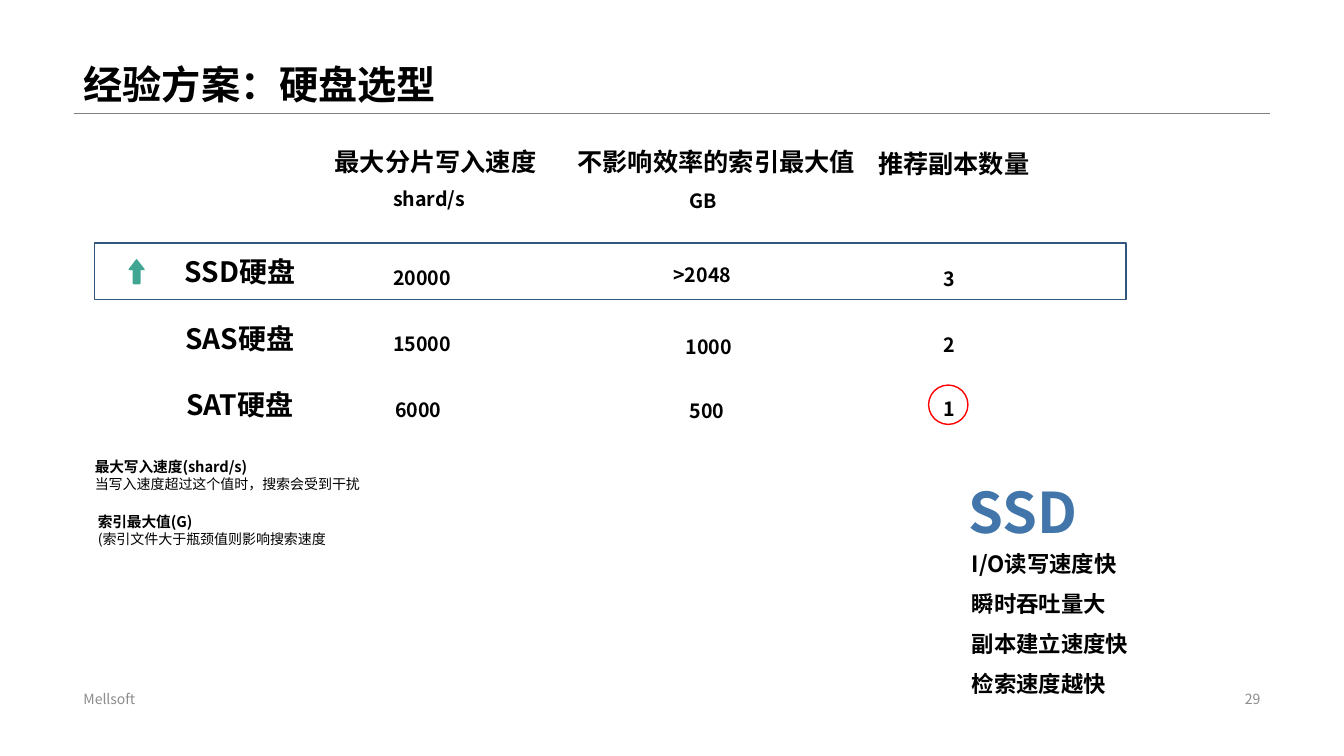
import collections

import lxml.etree
import pptx
import pptx.dml.color
import pptx.enum.shapes
import pptx.enum.text
import pptx.oxml.ns
import pptx.util

Inches = pptx.util.Inches
Pt = pptx.util.Pt
RGBColor = pptx.dml.color.RGBColor
Align = pptx.enum.text.PP_ALIGN
Anchor = pptx.enum.text.MSO_ANCHOR
AutoSize = pptx.enum.text.MSO_AUTO_SIZE
ShapeKind = pptx.enum.shapes.MSO_SHAPE
qn = pptx.oxml.ns.qn

FONT = "Noto Sans CJK SC"
BLACK = RGBColor(0x00, 0x00, 0x00)
GREY = RGBColor(0x8C, 0x8C, 0x8C)
RULE_GREY = RGBColor(0x80, 0x80, 0x80)
NAVY = RGBColor(0x31, 0x57, 0x7E)
BLUE = RGBColor(0x42, 0x76, 0xAA)
GREEN = RGBColor(0x40, 0xA6, 0x93)
RED = RGBColor(0xFF, 0x00, 0x00)

Box = collections.namedtuple("Box", "left top width height")


def within(box, left, top, width, height):
    return Box(box.left + left, box.top + top, width, height)


def emu(box):
    return [Inches(length) for length in box]


def add_text(para, text, size, color=BLACK, bold=True):
    span = para.add_run()
    span.text = text
    span.font.size = Pt(size)
    span.font.bold = bold
    span.font.color.rgb = color
    span.font.name = FONT
    east_asian = lxml.etree.SubElement(span.font._element, qn("a:ea"))
    east_asian.set("typeface", FONT)


def add_label(page, box, text, size, color=BLACK, bold=True, align=Align.LEFT,
              spacing=1.0, wrap=False, grow=True, inset=True, anchor=Anchor.TOP):
    frame = page.shapes.add_textbox(*emu(box)).text_frame
    frame.word_wrap = wrap
    frame.auto_size = AutoSize.SHAPE_TO_FIT_TEXT if grow else AutoSize.NONE
    frame.vertical_anchor = anchor
    if not inset:
        frame.margin_left = frame.margin_right = 0
        frame.margin_top = frame.margin_bottom = 0
    para = frame.paragraphs[0]
    para.alignment = align
    para.line_spacing = spacing
    add_text(para, text, size, color, bold)
    return frame


def add_outline(page, kind, box, color):
    shape = page.shapes.add_shape(kind, *emu(box))
    shape.shadow.inherit = False
    shape.fill.background()
    shape.line.color.rgb = color
    shape.line.width = Pt(1)


def place(placeholder, box):
    placeholder.left, placeholder.top, placeholder.width, placeholder.height = emu(box)
    frame = placeholder.text_frame
    frame.word_wrap = True
    frame.auto_size = AutoSize.NONE
    return frame


def add_heading(page, box):
    frame = place(page.shapes.title, box)
    frame.vertical_anchor = Anchor.BOTTOM
    para = frame.paragraphs[0]
    para.alignment = Align.LEFT
    para.line_spacing = 0.9
    add_text(para, "经验方案：硬盘选型", 28)
    # Rule along the bottom of the heading
    bottom = Inches(box.top + box.height)
    rule = page.shapes.add_connector(
        pptx.enum.shapes.MSO_CONNECTOR.STRAIGHT,
        Inches(box.left), bottom, Inches(box.left + box.width), bottom)
    rule.line.color.rgb = RULE_GREY
    rule.line.width = Pt(0.25)
    lxml.etree.SubElement(rule._element.spPr, qn("a:effectLst"))


def add_footer(page, box):
    parts = [("Mellsoft", 0, 4.53, Align.LEFT), ("29", 8.69, 3.18, Align.RIGHT)]
    for text, left, width, align in parts:
        add_label(page, within(box, left, 0, width, box.height), text, 10, GREY,
                  False, align, wrap=True, grow=False, anchor=Anchor.MIDDLE)


def add_up_arrow(page, box):
    half = [(0, 0), (0.01, 0.01), (0.08, 0.1), (0.08, 0.11), (0.04, 0.11),
            (0.04, 0.24), (0.03, 0.25)]
    outline = half + [(-across, down) for across, down in reversed(half[1:])]
    middle = box.left + box.width / 2
    points = [(Inches(middle + across), Inches(box.top + down))
              for across, down in outline]
    builder = page.shapes.build_freeform(*points[0])
    builder.add_line_segments(points[1:], close=True)
    arrow = builder.convert_to_shape()
    arrow.shadow.inherit = False
    arrow.fill.solid()
    arrow.fill.fore_color.rgb = GREEN
    arrow.line.fill.background()


def add_comparison(page, box):
    # Column headings and units
    headings = [("最大分片写入速度", 2.28, 0, 2.28), ("不影响效率的索引最大值", 4.69, 0, 2.98),
                ("推荐副本数量", 7.67, 0.02, 1.72)]
    for text, left, top, width in headings:
        add_label(page, within(box, left, top, width, 0.4), text, 18)
    units = [("shard/s", 2.86, 0.29, 0.94), ("GB", 5.8, 0.31, 0.63)]
    for text, left, top, width in units:
        add_label(page, within(box, left, top, width, 0.41), text, 14, spacing=1.5)

    # Disk rows: each value has its text, left, drop from the row's top and width
    disks = [
        ("SSD硬盘", [("20000", 2.86, 0.06, 0.81), (">2048", 5.64, 0.03, 0.83),
                   ("3", 8.32, 0.07, 0.32)]),
        ("SAS硬盘", [("15000", 2.86, 0.06, 0.81), ("1000", 5.76, 0.09, 0.69),
                   ("2", 8.32, 0.07, 0.32)]),
        ("SAT硬盘", [("6000", 2.88, 0.06, 0.69), ("500", 5.8, 0.07, 0.68),
                   ("1", 8.32, 0.05, 0.32)]),
    ]
    first_row, pitch = 1.01, 0.655
    for index, (name, values) in enumerate(disks):
        row = within(box, 0, first_row + index * pitch, box.width, pitch)
        add_label(page, within(row, 0.74, 0.12, 1.4, 0.4), name, 20,
                  align=Align.CENTER, wrap=True, grow=False, inset=False)
        for text, left, top, width in values:
            add_label(page, within(row, left, top, width, 0.45), text, 14, spacing=1.5)

    # Marks on the best row and on the lowest copy count
    add_outline(page, ShapeKind.RECTANGLE, within(box, 0, first_row, box.width, 0.56), NAVY)
    add_up_arrow(page, within(box, 0.33, 1.17, 0.17, 0.25))
    add_outline(page, ShapeKind.OVAL, within(box, 8.27, 2.42, 0.39, 0.39), RED)


def add_notes_on_terms(page, box):
    terms = [("最大写入速度(shard/s)", "当写入速度超过这个值时，搜索会受到干扰", 0, 0),
             ("索引最大值(G)", "(索引文件大于瓶颈值则影响搜索速度", 0.03, 0.55)]
    for term, meaning, left, top in terms:
        frame = add_label(page, within(box, left, top, box.width, 0.6), term, 10.5,
                          grow=False, inset=False)
        add_text(frame.add_paragraph(), meaning, 10, bold=False)


def add_advantages(page, box):
    add_label(page, within(box, 0, 0, 3.08, 0.77), "SSD", 40, BLUE,
              align=Align.CENTER, wrap=True)
    frame = place(page.placeholders[1], within(box, 0.93, 0.58, 4.3, 1.72))
    lines = ["I/O读写速度快", "瞬时吞吐量大", "副本建立速度快", "检索速度越快"]
    for index, line in enumerate(lines):
        para = frame.add_paragraph() if index else frame.paragraphs[0]
        para.line_spacing = 1.5
        para.space_before = Pt(0)
        settings = para._p.get_or_add_pPr()
        settings.set("marL", "0")
        settings.set("indent", "0")
        lxml.etree.SubElement(settings, qn("a:buNone"))
        add_text(para, line, 16)


def main():
    deck = pptx.Presentation()
    deck.slide_width = Inches(13.33)
    deck.slide_height = Inches(7.5)
    page = deck.slides.add_slide(deck.slide_layouts[1])
    add_heading(page, Box(0.73, 0, 11.87, 1.12))
    add_footer(page, Box(0.73, 6.82, 11.87, 0.23))
    add_comparison(page, Box(0.94, 1.4, 10.23, 2.9))
    add_notes_on_terms(page, Box(0.94, 4.54, 3.29, 1.12))
    add_advantages(page, Box(8.61, 4.69, 5.23, 2.3))
    deck.save("out.pptx")


if __name__ == "__main__":
    main()
